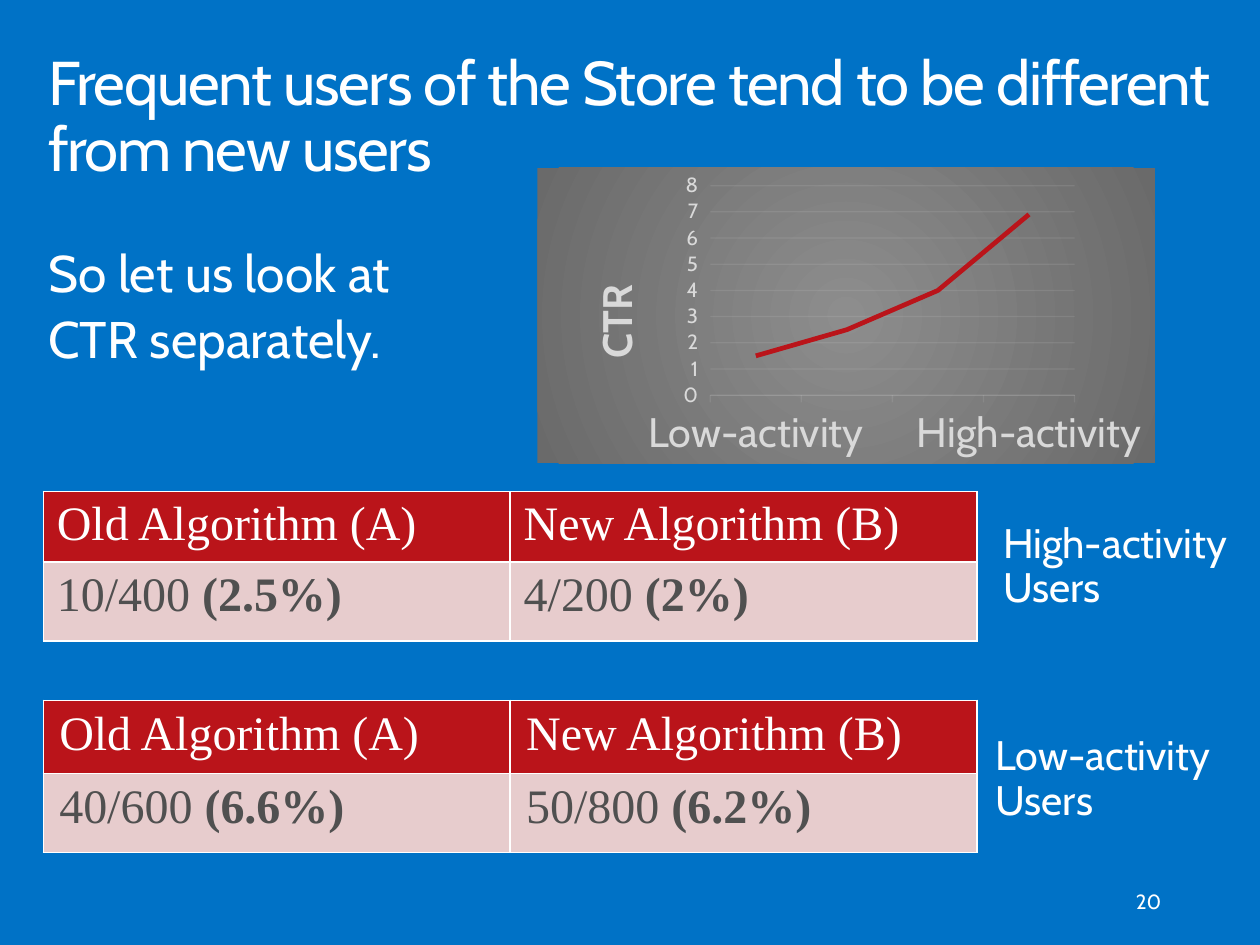
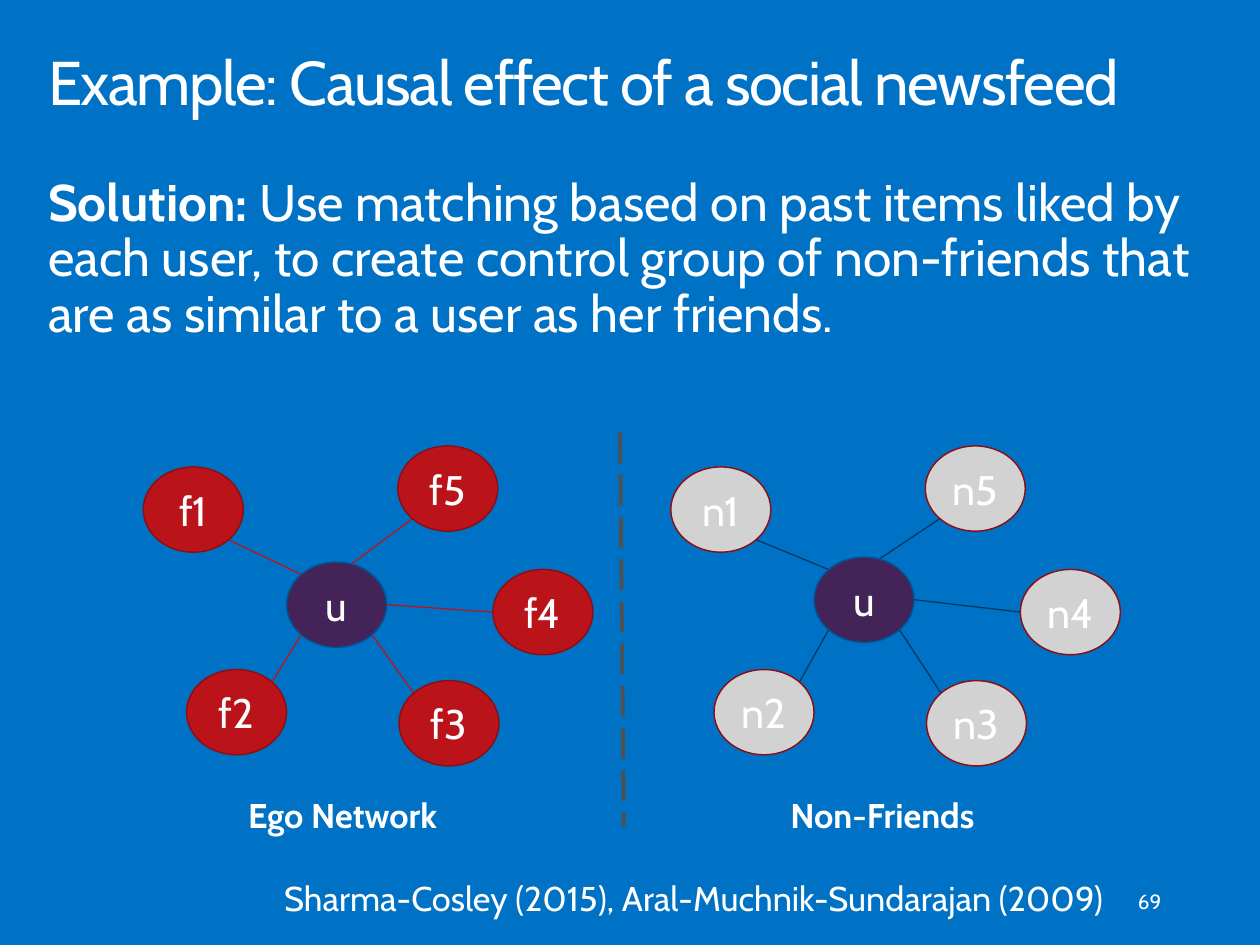
from dataclasses import dataclass

from lxml import etree
from pptx import Presentation
from pptx import util as u
from pptx.chart import data as chart_data
from pptx.dml.color import RGBColor
from pptx.enum import chart as charts, dml, shapes, text
from pptx.oxml import parse_xml
from pptx.oxml.ns import nsdecls, qn

FONT, TABLE_FONT = "Cabin", "Times New Roman"
COLORS = {
    "background": "0072C6", "white": "FFFFFF", "red": "BA141A", "dark_red": "8A0F13",
    "pink": "E7CCCD", "gray": "505050", "light_gray": "D2D2D2", "axis": "D9D9D9",
    "grid": "F2F2F2", "purple": "442359", "blue": "005492", "navy": "003963",
    "glow": "8D8D8D", "shade": "6A6A6A",
}


@dataclass(frozen=True)
class Span:
    text: str
    bold: bool = False
    color: str = "white"


@dataclass(frozen=True)
class Label:
    """A text box: position, paragraphs of spans, and paragraph format."""
    left: float
    top: float
    width: float
    height: float
    paragraphs: list[list[Span]]
    size: float
    margins: tuple[float, float] = (0.1, 0.05)
    line_spacing: float = 1.0
    space_before: float = 0
    align: text.PP_ALIGN = text.PP_ALIGN.LEFT
    anchor: text.MSO_ANCHOR = text.MSO_ANCHOR.TOP


@dataclass(frozen=True)
class ResultTable:
    top: float
    rows: tuple[float, float]
    margins: tuple[float, float]
    results: list[tuple[str, str]]


@dataclass(frozen=True)
class Node:
    """A satellite node, with the edge ends as fractions of each node's radii."""
    number: int
    left: float
    top: float
    hub_end: tuple[float, float]
    own_end: tuple[float, float]


@dataclass(frozen=True)
class Network:
    letter: str
    shift: float
    hub_top: float
    fill: str
    edge: str


def rgb(name: str) -> RGBColor:
    return RGBColor.from_string(COLORS[name])


def add_span(para, span: Span, size: float, font: str = FONT):
    run = para.add_run()
    run.text = span.text
    run.font.size, run.font.name = u.Pt(size), font
    run.font.bold = span.bold
    run.font.color.rgb = rgb(span.color)
    return run


def set_margins(target, margins: tuple[float, float]) -> None:
    target.margin_left = target.margin_right = u.Inches(margins[0])
    target.margin_top = target.margin_bottom = u.Inches(margins[1])


def place(shape, left: float, top: float, width: float, height: float) -> None:
    shape.left, shape.top = u.Inches(left), u.Inches(top)
    shape.width, shape.height = u.Inches(width), u.Inches(height)


def add_label(page, label: Label) -> None:
    box = page.shapes.add_textbox(0, 0, 0, 0)
    place(box, label.left, label.top, label.width, label.height)
    frame = box.text_frame
    frame.word_wrap = True
    frame.vertical_anchor = label.anchor
    set_margins(frame, label.margins)
    for index, spans in enumerate(label.paragraphs):
        para = frame.add_paragraph() if index else frame.paragraphs[0]
        para.alignment, para.line_spacing = label.align, label.line_spacing
        if index:
            para.space_before = u.Pt(label.space_before)
        for span in spans:
            add_span(para, span, label.size)


def add_page(deck, title: str, number: int):
    """Add a page with the shared title style and page number."""
    page = deck.slides.add_slide(deck.slide_layouts[5])
    place(page.shapes.title, 0.23, 0.32, 9.75, 1)
    frame = page.shapes.title.text_frame
    frame.word_wrap = True
    frame.auto_size = text.MSO_AUTO_SIZE.NONE
    frame.vertical_anchor = text.MSO_ANCHOR.TOP
    set_margins(frame, (0.16, 0.1))
    para = frame.paragraphs[0]
    para.alignment, para.line_spacing = text.PP_ALIGN.LEFT, 0.9
    run = add_span(para, Span(title), 36)
    run.font._element.set("spc", "-80")
    add_label(page, Label(7.2, 7.09, 2.3, 0.41, [[Span(str(number))]], 12,
                          align=text.PP_ALIGN.RIGHT, anchor=text.MSO_ANCHOR.MIDDLE))
    return page


def add_body(page, top: float, width: float, height: float,
             paragraphs: list[list[Span]]) -> None:
    add_label(page, Label(0.23, top, width, height, paragraphs, 30, (0.16, 0.1), 0.9, 6))


def add_line(parent, start: tuple[float, float], end: tuple[float, float],
             color: str, width: float):
    line = parent.shapes.add_connector(
        shapes.MSO_CONNECTOR.STRAIGHT, *(u.Inches(value) for value in (*start, *end)))
    line.line.color.rgb, line.line.width = rgb(color), u.Pt(width)
    etree.SubElement(line._element.spPr, qn("a:effectLst"))
    return line


# Tables
def set_borders(cell) -> None:
    properties = cell._tc.get_or_add_tcPr()
    for index, side in enumerate(("lnL", "lnR", "lnT", "lnB")):
        properties.insert(index, parse_xml(
            f'<a:{side} {nsdecls("a")} w="12700"><a:solidFill>'
            f'<a:srgbClr val="{COLORS["white"]}"/></a:solidFill></a:{side}>'))


def add_results(page, spec_table: ResultTable) -> None:
    frame = page.shapes.add_table(2, 2, u.Inches(0.35), u.Inches(spec_table.top),
                                  u.Inches(7.56), u.Inches(sum(spec_table.rows)))
    table = frame.table
    for row, height in zip(table.rows, spec_table.rows):
        row.height = u.Inches(height)
    headers = [[Span("Old Algorithm (A)")], [Span("New Algorithm (B)")]]
    values = [[Span(f"{ratio} ", color="gray"), Span(f"({rate})", True, "gray")]
              for ratio, rate in spec_table.results]
    for row, (cells, fill) in enumerate(((headers, "red"), (values, "pink"))):
        for column, spans in enumerate(cells):
            cell = table.cell(row, column)
            cell.fill.solid()
            cell.fill.fore_color.rgb = rgb(fill)
            set_margins(cell, spec_table.margins)
            set_borders(cell)
            for span in spans:
                add_span(cell.text_frame.paragraphs[0], span, 28, TABLE_FONT)


# Chart
def set_layout(parent, position: int, inner: bool, **fractions: float) -> None:
    """Give a chart part a fixed place, in fractions of the chart area."""
    for old in parent.findall(qn("c:layout")):
        parent.remove(old)
    target = '<c:layoutTarget val="inner"/>' if inner else ""
    modes = "".join(f'<c:{key}Mode val="edge"/>' for key in ("x", "y"))
    sizes = "".join(f'<c:{key} val="{value}"/>' for key, value in fractions.items())
    parent.insert(position, parse_xml(
        f'<c:layout {nsdecls("c")}><c:manualLayout>{target}{modes}{sizes}'
        '</c:manualLayout></c:layout>'))


def soften(line) -> None:
    """Draw an axis or grid line in faint white."""
    line.color.rgb, line.width = rgb("grid"), u.Pt(0.75)
    color = line._ln.find(".//" + qn("a:srgbClr"))
    etree.SubElement(color, qn("a:alpha")).set("val", "10000")


def add_activity_chart(page) -> None:
    data = chart_data.CategoryChartData()
    data.categories = ["Low-activity", "", "", "High-activity"]
    data.add_series("Series 1", (1.5, 2.5, 4, 6.9))
    chart = page.shapes.add_chart(charts.XL_CHART_TYPE.LINE, u.Inches(4.35), u.Inches(1.36),
                                  u.Inches(5), u.Inches(2.39), data).chart
    chart.has_legend = chart.has_title = False
    chart.font.size, chart.font.name = u.Pt(10), FONT
    chart.font.color.rgb = rgb("white")
    chart.plots[0].vary_by_categories = False
    series = chart.plots[0].series[0]
    series.smooth = False
    series.format.line.color.rgb, series.format.line.width = rgb("red"), u.Pt(2.75)
    series.marker.style = charts.XL_MARKER_STYLE.NONE

    # Axes
    for axis, size in ((chart.category_axis, 24), (chart.value_axis, 12)):
        labels = axis.tick_labels.font
        labels.size, labels.name = u.Pt(size), FONT
        labels.color.rgb = rgb("axis")
        axis.major_tick_mark = charts.XL_TICK_MARK.OUTSIDE
    category_body = chart.category_axis._element.find(qn("c:txPr")).find(qn("a:bodyPr"))
    category_body.set("rot", "-60000000")
    category_body.set("vert", "horz")
    soften(chart.category_axis.format.line)
    value_axis = chart.value_axis
    value_axis.minimum_scale, value_axis.maximum_scale, value_axis.major_unit = 0, 8, 1
    value_axis.format.line.fill.background()
    soften(value_axis.major_gridlines.format.line)
    title = value_axis.axis_title
    add_span(title.text_frame.paragraphs[0], Span("CTR", True, "axis"), 24)
    title_body = title._element.find(".//" + qn("a:bodyPr"))
    title_body.set("rot", "-5400000")
    title_body.set("vert", "horz")
    set_layout(title._element, 1, False, x=0.07, y=0.37)

    # Plot area and background
    area = chart._chartSpace.find(qn("c:chart"))
    set_layout(area.find(qn("c:plotArea")), 0, True, x=0.28, y=0.06, w=0.59, h=0.71)
    stops = "".join(f'<a:gs pos="{position}"><a:srgbClr val="{COLORS[name]}"/></a:gs>'
                    for position, name in ((0, "glow"), (100000, "shade")))
    area.addnext(parse_xml(
        f'<c:spPr {nsdecls("c", "a")}><a:gradFill><a:gsLst>{stops}</a:gsLst>'
        '<a:path path="circle"><a:fillToRect l="50000" t="50000" r="50000" b="50000"/>'
        '</a:path></a:gradFill><a:ln><a:noFill/></a:ln></c:spPr>'))


# Networks
NODE_WIDTH, NODE_HEIGHT = 0.81, 0.69
HUB_LEFT = 2.32
DIAGONAL = 0.71
NODES = [
    Node(1, 1.16, 3.78, (-DIAGONAL, -DIAGONAL), (DIAGONAL, DIAGONAL)),
    Node(2, 1.51, 5.42, (-DIAGONAL, DIAGONAL), (DIAGONAL, -DIAGONAL)),
    Node(3, 3.23, 5.51, (DIAGONAL, DIAGONAL), (-DIAGONAL, -DIAGONAL)),
    Node(4, 3.99, 4.61, (1, 0), (-1, 0)),
    Node(5, 3.22, 3.61, (0.21, -0.88), (-DIAGONAL, DIAGONAL)),
]


def node_point(left: float, top: float, end: tuple[float, float]) -> tuple[float, float]:
    return left + NODE_WIDTH / 2 * (1 + end[0]), top + NODE_HEIGHT / 2 * (1 + end[1])


def add_node(parent, left: float, top: float, name: str, fill: str, outline: str) -> None:
    oval = parent.shapes.add_shape(shapes.MSO_SHAPE.OVAL, 0, 0, 0, 0)
    place(oval, left, top, NODE_WIDTH, NODE_HEIGHT)
    oval.shadow.inherit = False
    oval.fill.solid()
    oval.fill.fore_color.rgb = rgb(fill)
    oval.line.color.rgb, oval.line.width = rgb(outline), u.Pt(0.85)
    oval.text_frame.vertical_anchor = text.MSO_ANCHOR.MIDDLE
    para = oval.text_frame.paragraphs[0]
    para.alignment = text.PP_ALIGN.CENTER
    add_span(para, Span(name), 24)


def add_network(page, network: Network) -> None:
    group = page.shapes.add_group_shape()
    hub_left = HUB_LEFT + network.shift
    for node in NODES:
        add_line(group, node_point(hub_left, network.hub_top, node.hub_end),
                 node_point(node.left + network.shift, node.top, node.own_end),
                 network.edge, 0.75)
    for node in NODES:
        add_node(group, node.left + network.shift, node.top,
                 f"{network.letter}{node.number}", network.fill, "dark_red")
    add_node(group, hub_left, network.hub_top, "u", "purple", "blue")


def build_activity_page(deck) -> None:
    page = add_page(deck, "Frequent users of the Store tend to be different from new users", 20)
    add_body(page, 1.91, 4.1, 1.19, [[Span("So let us look at")], [Span("CTR separately.")]])
    add_results(page, ResultTable(3.98, (0.57, 0.64), (0.11, 0.05),
                                  [("10/400", "2.5%"), ("4/200", "2%")]))
    add_results(page, ResultTable(5.67, (0.59, 0.64), (0.13, 0.06),
                                  [("40/600", "6.6%"), ("50/800", "6.2%")]))
    for left, top, level in ((7.97, 4.11, "High"), (7.91, 5.83, "Low")):
        add_label(page, Label(left, top, 2.2, 0.97, [[Span(f"{level}-activity Users")]],
                              24, (0.15, 0.12), 0.9))
    add_activity_chart(page)


def build_newsfeed_page(deck) -> None:
    page = add_page(deck, "Example: Causal effect of a social newsfeed", 69)
    add_body(page, 1.33, 9.75, 2.12, [[
        Span("Solution: ", True),
        Span("Use matching based on past items liked by each user, to create control group "
             "of non-friends that are as similar to a user as her friends.")]])
    for left, width, caption in ((1.91, 2.14, "Ego Network"), (6.3, 1.84, "Non-Friends")):
        add_label(page, Label(left, 6.38, width, 0.44, [[Span(caption, True)]], 20))
    divider = add_line(page, (5.02, 3.5), (5.05, 6.69), "gray", 2.25)
    divider.line.dash_style = dml.MSO_LINE.LONG_DASH
    add_network(page, Network("f", 0, 4.55, "red", "red"))
    add_network(page, Network("n", 4.27, 4.51, "light_gray", "navy"))
    add_label(page, Label(2.1, 6.99, 7.33, 0.63, [[
        Span("Sharma-Cosley (2015), Aral-Muchnik-Sundarajan (2009)")]], 20, (0.2, 0.16), 0.9))


def main() -> None:
    deck = Presentation()
    deck.slide_width, deck.slide_height = u.Inches(10.2), u.Inches(7.65)
    background = deck.slide_master.background.fill
    background.solid()
    background.fore_color.rgb = rgb("background")
    build_activity_page(deck)
    build_newsfeed_page(deck)
    deck.save("out.pptx")


if __name__ == "__main__":
    main()
